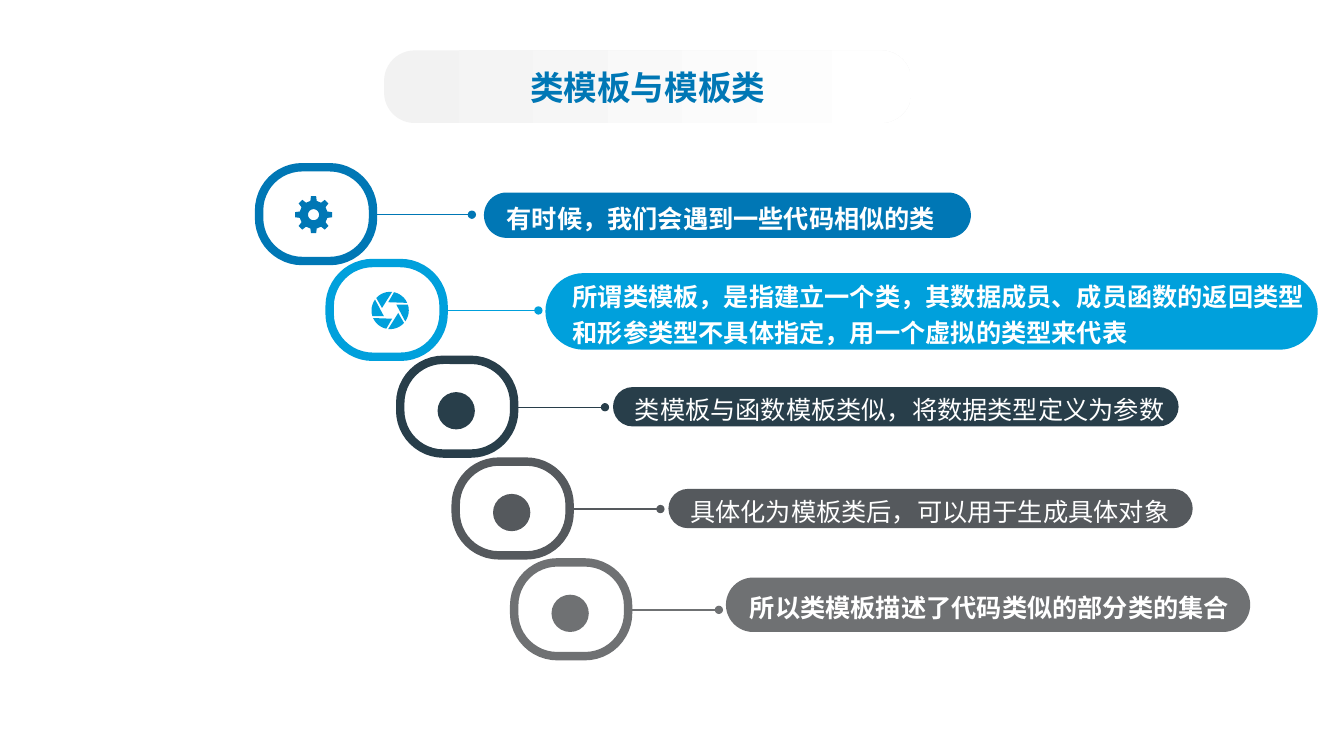
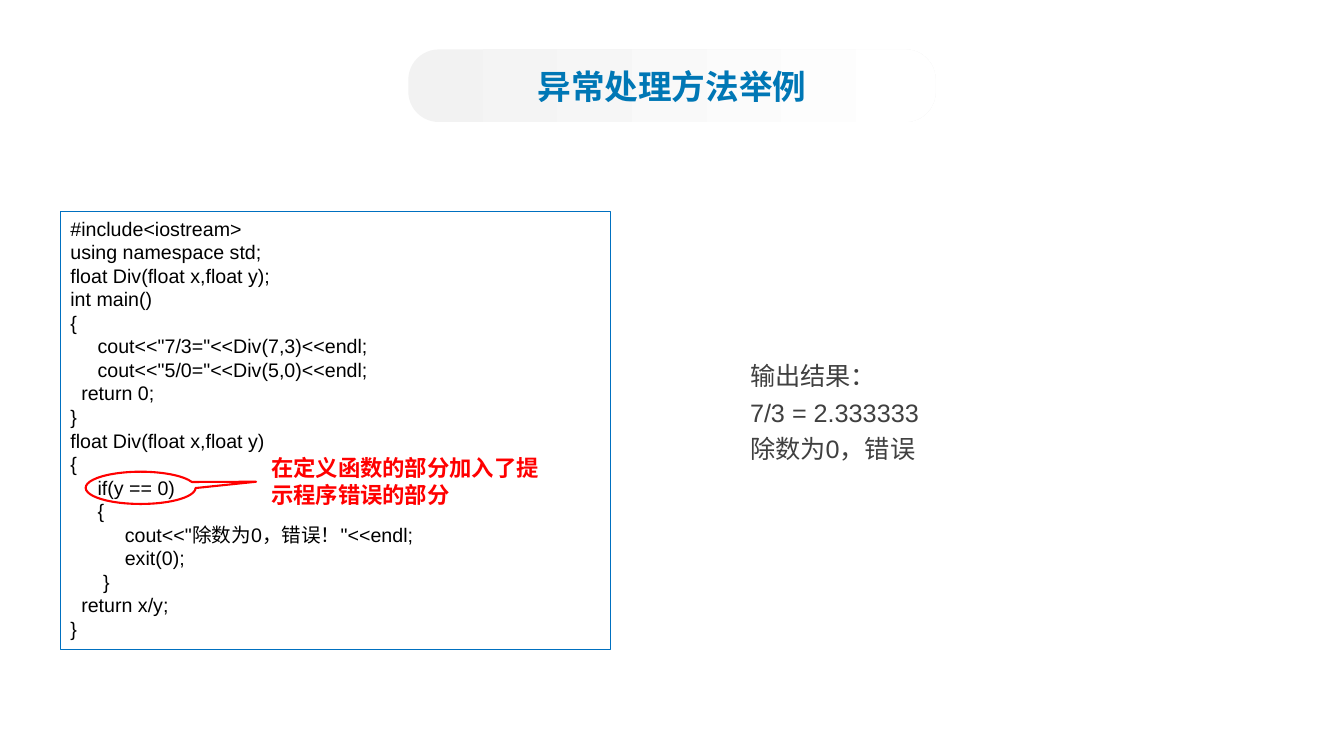
import math
from lxml import etree
from pptx import Presentation
from pptx import util as u
from pptx.dml.color import RGBColor
from pptx.enum import shapes, text
from pptx.oxml.ns import qn

PX = 9144
WHITE = RGBColor(0xFF, 0xFF, 0xFF)
BLACK = RGBColor(0, 0, 0)
PALE = RGBColor(0xF2, 0xF2, 0xF2)
BLUE = RGBColor(0x00, 0x77, 0xB5)
SKY = RGBColor(0x00, 0xA0, 0xDC)
NAVY = RGBColor(0x28, 0x3E, 0x4A)
SLATE = RGBColor(0x55, 0x59, 0x5D)
GREY = RGBColor(0x6F, 0x71, 0x73)
EDGE = RGBColor(0x00, 0x70, 0xC0)
RED = RGBColor(0xFF, 0, 0)
DARK = RGBColor(0x40, 0x40, 0x40)

LATIN = "Arial"
HAN = "Noto Sans CJK SC"
KIND = shapes.MSO_SHAPE
MID = text.MSO_ANCHOR.MIDDLE
TOP = text.MSO_ANCHOR.TOP
LEFT = text.PP_ALIGN.LEFT
MARGIN = (10, 5, 10, 5)

TITLE = {"name": HAN, "size": u.Pt(24), "bold": True}
STRONG = {"name": LATIN, "size": u.Pt(18), "bold": True}
PLAIN = {"name": HAN, "size": u.Pt(18), "bold": False}
CODE = {"name": LATIN, "size": u.Pt(14)}
NOTE = {"name": HAN, "size": u.Pt(16), "bold": True}
RESULT = {"name": LATIN, "size": u.Pt(18)}

PROGRAM = """#include<iostream>
using namespace std;
float Div(float x,float y);
int main()
{
     cout<<"7/3="<<Div(7,3)<<endl;
     cout<<"5/0="<<Div(5,0)<<endl;
  return 0;
}
float Div(float x,float y)
{
     if(y == 0)
     {
          cout<<"除数为0，错误！"<<endl;
          exit(0);
      }
  return x/y;
}"""


def px(*nums):
    return [u.Emu(round(n * PX)) for n in nums]


def write(shape, lines, fmt, ink, align=LEFT, anchor=TOP, pad=MARGIN, wrap=True, gap=None):
    frame = shape.text_frame
    sides = ("margin_left", "margin_top", "margin_right", "margin_bottom")
    setup = {"word_wrap": wrap, "vertical_anchor": anchor, **dict(zip(sides, px(*pad)))}
    for key, val in setup.items():
        setattr(frame, key, val)
    for n, line in enumerate(lines):
        para = frame.paragraphs[0] if n == 0 else frame.add_paragraph()
        para.alignment = align
        para.line_spacing = gap
        run = para.add_run()
        run.text = line
        for key, val in fmt.items():
            setattr(run.font, key, val)
        run.font.color.rgb = ink
        etree.SubElement(run._r.get_or_add_rPr(), qn("a:ea"), typeface=HAN)


def paint(shape, fill=None, edge=None, width=1):
    shape.shadow.inherit = False
    if fill is None:
        shape.fill.background()
    else:
        shape.fill.solid()
        shape.fill.fore_color.rgb = fill
    if edge is None:
        shape.line.fill.background()
    else:
        shape.line.color.rgb = edge
        shape.line.width = u.Pt(width)


def block(slide, kind, box, fill=None, edge=None, width=1, bend=()):
    shape = slide.shapes.add_shape(kind, *px(*box))
    for n, val in enumerate(bend):
        shape.adjustments[n] = val
    paint(shape, fill, edge, width)
    return shape


def label(slide, box, lines, fmt, ink, **more):
    write(slide.shapes.add_textbox(*px(*box)), lines, fmt, ink, **more)


def title(slide, box, words):
    band = block(slide, KIND.ROUNDED_RECTANGLE, box, bend=[0.42])
    band.fill.gradient()
    band.fill.gradient_angle = 0
    for stop, ink, place in zip(band.fill.gradient_stops, (PALE, WHITE), (0, 0.99)):
        stop.color.rgb = ink
        stop.position = place
    write(band, [words], TITLE, BLUE, text.PP_ALIGN.CENTER, MID)


def wire(slide, start, end, ink, width):
    line = slide.shapes.add_connector(shapes.MSO_CONNECTOR.STRAIGHT, *px(*start, *end))
    line.line.color.rgb = ink
    line.line.width = u.Pt(width)
    props = line._element.spPr
    etree.SubElement(props.find(qn("a:ln")), qn("a:tailEnd"), type="oval")
    etree.SubElement(props, qn("a:effectLst"))


def polar(mid, rad, deg):
    turn = math.radians(deg)
    return px(mid[0] + rad * math.cos(turn), mid[1] + rad * math.sin(turn))


def outline(slide, loops, ink):
    pen = slide.shapes.build_freeform(*loops[0][0], scale=1.0)
    for n, loop in enumerate(loops):
        if n:
            pen.move_to(*loop[0])
        pen.add_line_segments(loop[1:], close=True)
    paint(pen.convert_to_shape(), ink)


def gear(slide, mid, ink):
    tooth = ((-13, 14), (-8, 18.5), (8, 18.5), (13, 14))
    rim = [polar(mid, rad, deg + off) for deg in range(0, 360, 45) for off, rad in tooth]
    hole = [polar(mid, 5.5, deg) for deg in range(360, 0, -15)]
    outline(slide, [rim, hole], ink)


def iris(slide, mid, ink):
    loops = []
    for turn in range(0, 360, 60):
        arc = [polar(mid, 18.5, turn + deg) for deg in range(-84, -139, -9)]
        loops.append(arc + [polar(mid, 8.4, turn - 163)])
    outline(slide, loops, ink)


def disc(slide, mid, ink):
    block(slide, KIND.OVAL, (mid[0] - 18, mid[1] - 18, 37, 37), ink)


def step(slide, ring, pill, dot, ink, width, icon, shift, lines, fmt):
    x, y = ring
    wire(slide, (dot - 105, y + 47), (dot, y + 47), ink, width)
    bar = block(slide, KIND.ROUNDED_RECTANGLE, pill, ink, bend=[0.5])
    write(bar, lines, fmt, WHITE, anchor=MID, pad=(16, 5, 10, 5), wrap=False, gap=1.2)
    block(slide, KIND.ROUNDED_RECTANGLE, (x, y, 113, 93), WHITE, ink, 6, [0.46])
    icon(slide, (x + shift[0], y + shift[1]), ink)


def code(slide, box):
    x, y = box[:2]
    pane = block(slide, KIND.RECTANGLE, box, WHITE, EDGE, 0.75)
    write(pane, PROGRAM.split("\n"), CODE, BLACK)
    block(slide, KIND.OVAL_CALLOUT, (x + 25, y + 258, 109, 32), None, RED, 1.5, (1.05, -0.19))
    label(slide, (x + 199, y + 236, 307, 64), ["在定义函数的部分加入了提示程序错误的部分"], NOTE, RED)


def stairs(slide):
    steps = (
        ((257, 166), (480, 191, 483, 45), 468, BLUE, 0.5, gear, (54, 47),
         ["有时候，我们会遇到一些代码相似的类"], STRONG),
        ((327, 261), (541, 271, 766, 76), 534, SKY, 0.5, iris, (60, 47),
         ["所谓类模板，是指建立一个类，其数据成员、成员函数的返回类型",
          "和形参类型不具体指定，用一个虚拟的类型来代表"], STRONG),
        ((397, 357), (608, 384, 561, 39), 600, NAVY, 0.5, disc, (55, 50),
         ["类模板与函数模板类似，将数据类型定义为参数"], PLAIN),
        ((452, 458), (663, 485, 520, 39), 655, SLATE, 1, disc, (55, 50),
         ["具体化为模板类后，可以用于生成具体对象"], PLAIN),
        ((510, 558), (720, 573, 520, 54), 713, GREY, 1, disc, (55, 50),
         ["所以类模板描述了代码类似的部分类的集合"], STRONG),
    )
    for item in steps:
        step(slide, *item)
    title(slide, (381, 50, 523, 72), "类模板与模板类")


def sample(slide):
    title(slide, (405, 49, 523, 72), "异常处理方法举例")
    code(slide, (60, 210, 546, 434))
    label(slide, (734, 347, 189, 152), ["输出结果：", "7/3 = 2.333333", "除数为0，错误"],
          RESULT, DARK, gap=1.2)


def main():
    deck = Presentation()
    deck.slide_width, deck.slide_height = px(1333, 750)
    for build in (stairs, sample):
        build(deck.slides.add_slide(deck.slide_layouts[6]))
    deck.save("out.pptx")


if __name__ == "__main__":
    main()
